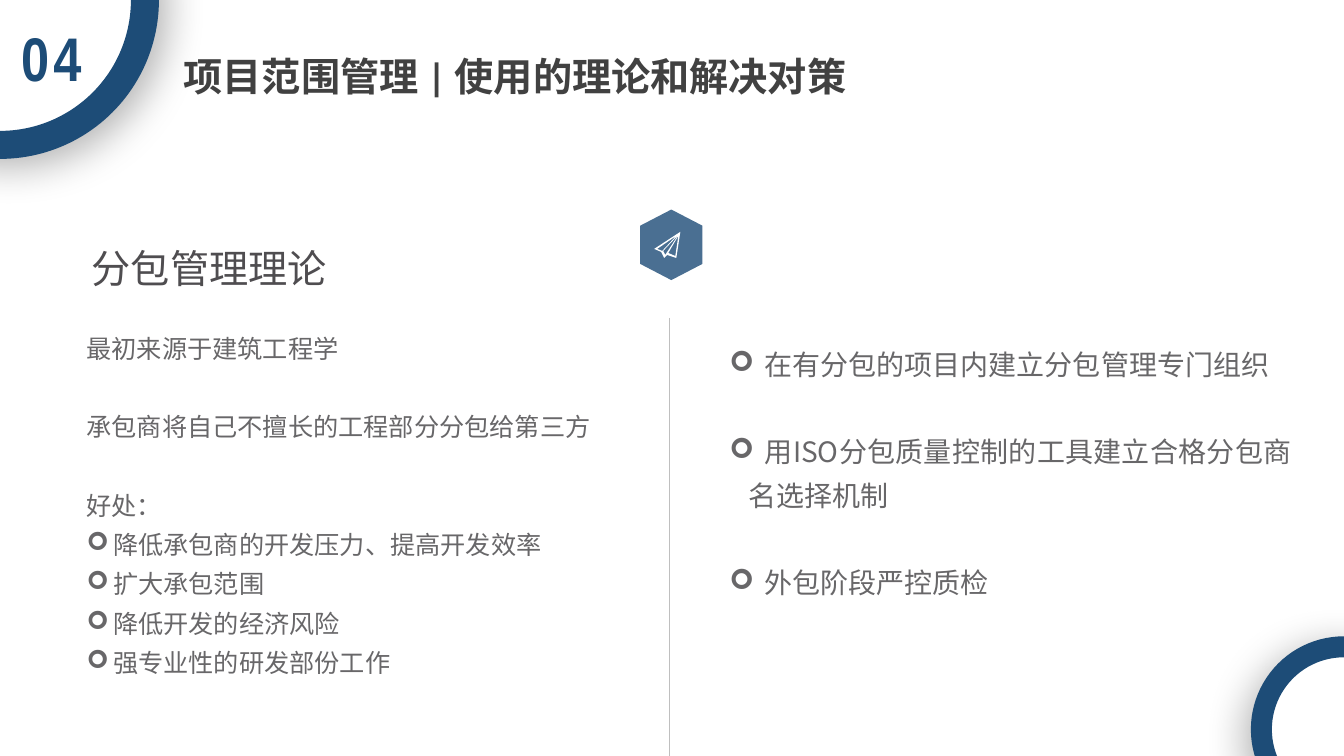
from lxml.etree import SubElement
from pptx import Presentation
from pptx.dml.color import RGBColor
from pptx.enum.shapes import MSO_CONNECTOR, MSO_SHAPE
from pptx.enum.text import MSO_ANCHOR, MSO_AUTO_SIZE, PP_ALIGN
from pptx.oxml import parse_xml
from pptx.oxml.ns import nsdecls, qn
from pptx.util import Pt

HUES = {"navy": "1D4C77", "white": "FFFFFF", "rule": "BFBFBF",
        "title": "414141", "head": "4F4D50", "body": "686769"}
SANS = "Noto Sans CJK SC"
PLANE = [
    [(675, 230), (649, 247), (656, 250), (659, 256), (662, 253), (671, 256)],
    [(670, 254), (663, 251), (673, 234)],
    [(658, 249), (673, 233), (660, 253)],
    [(652, 247), (671, 234), (657, 249)],
]
ORIGIN = ["最初来源于建筑工程学", "承包商将自己不擅长的工程部分分包给第三方", "好处："]
GAINS = ["降低承包商的开发压力、提高开发效率", "扩大承包范围",
         "降低开发的经济风险", "强专业性的研发部份工作"]
STEPS = ["在有分包的项目内建立分包管理专门组织",
         "用ISO分包质量控制的工具建立合格分包商名选择机制", "外包阶段严控质检"]


def hue(name):
    """Return the named colour."""
    return RGBColor.from_string(HUES[name])


def paint(shape, fill):
    """Give a shape a plain fill with no line and no shadow."""
    shape.shadow.inherit = False
    shape.fill.solid()
    shape.fill.fore_color.rgb = hue(fill)
    shape.line.fill.background()


def style(para, size, color, face=SANS, bold=False, track=0):
    """Format every run of a paragraph."""
    for run in para.runs:
        font = run.font
        font.size, font.name, font.bold = Pt(size), face, bold
        font.color.rgb = hue(color)
        props = run._r.get_or_add_rPr()
        SubElement(props, qn("a:ea")).set("typeface", face)
        if track:
            props.set("spc", str(track * 100))


def frame(shape, box):
    """Place a text shape and return its wrapping, top-anchored frame."""
    shape.left, shape.top, shape.width, shape.height = map(Pt, box)
    text = shape.text_frame
    text.word_wrap = True
    text.auto_size = MSO_AUTO_SIZE.SHAPE_TO_FIT_TEXT
    text.vertical_anchor = MSO_ANCHOR.TOP
    return text


def label(shape, box, text, size, color, align=PP_ALIGN.LEFT, lead=1.0, **look):
    """Fill a text shape with one line of text."""
    para = frame(shape, box).paragraphs[0]
    para.text, para.alignment, para.line_spacing = text, align, lead
    style(para, size, color, **look)


def bullet(para, hang, tab=0):
    """Add an arrow bullet with a hanging indent and an optional tab stop."""
    props = para._p.get_or_add_pPr()
    props.set("marL", str(Pt(hang)))
    props.set("indent", str(Pt(-hang)))
    SubElement(props, qn("a:buFont")).set("typeface", "Wingdings")
    SubElement(props, qn("a:buChar")).set("char", "➢")
    if tab:
        stop = SubElement(SubElement(props, qn("a:tabLst")), qn("a:tab"))
        stop.set("pos", str(Pt(tab)))
        stop.set("algn", "l")


def column(slide, box, items, size):
    """Add a justified column of (text, gap, hang, tab) items."""
    text = frame(slide.shapes.add_textbox(0, 0, 0, 0), box)
    for i, (words, gap, hang, tab) in enumerate(items):
        para = text.add_paragraph() if i else text.paragraphs[0]
        para.text = "\t" + words if tab else words
        para.alignment, para.line_spacing = PP_ALIGN.JUSTIFY, 1.3
        if i and gap:
            para.space_before = Pt(gap)
        if hang:
            bullet(para, hang, tab)
        style(para, size, "body")


def ring(slide, x, y, size, width, turn):
    """Add a white disc with a navy rim and a soft shadow."""
    disc = slide.shapes.add_shape(MSO_SHAPE.OVAL, *map(Pt, (x, y, size, size)))
    paint(disc, "white")
    disc.line.color.rgb = hue("navy")
    disc.line.width = Pt(width)
    glow = disc._element.spPr.find(qn("a:effectLst"))
    glow.append(parse_xml(
        f'<a:outerShdw {nsdecls("a")} blurRad="{Pt(30)}" dist="{Pt(8)}" '
        f'dir="{turn * 60000}" algn="ctr" rotWithShape="0"><a:srgbClr val="000000">'
        '<a:alpha val="30000"/></a:srgbClr></a:outerShdw>'))


def divide(slide, x, top, end):
    """Add the thin upright rule between the columns."""
    rule = slide.shapes.add_connector(
        MSO_CONNECTOR.STRAIGHT, Pt(x), Pt(top), Pt(x), Pt(end))
    rule.line.color.rgb, rule.line.width = hue("rule"), Pt(0.5)
    SubElement(rule._element.spPr, qn("a:effectLst"))


def badge(slide):
    """Add the hexagon badge with its paper plane."""
    group = slide.shapes.add_group_shape().shapes
    hexa = group.add_shape(MSO_SHAPE.HEXAGON, *map(Pt, (454.3, 152.6, 50.4, 44.6)))
    hexa.rotation = 90
    hexa.adjustments[0] = 0.26
    paint(hexa, "navy")
    tone = hexa._element.spPr.find(qn("a:solidFill"))[0]
    SubElement(tone, qn("a:alpha")).set("val", "80000")
    pen = group.build_freeform(*PLANE[0][0], scale=Pt(0.72))
    for i, outline in enumerate(PLANE):
        if i:
            pen.move_to(*outline[0])
        pen.add_line_segments(outline[1:], close=True)
    paint(pen.convert_to_shape(), "white")


def main():
    """Build the slide and save it."""
    deck = Presentation()
    deck.slide_width, deck.slide_height = Pt(960), Pt(540)
    slide = deck.slides.add_slide(deck.slide_layouts[5])
    shapes = slide.shapes
    divide(slide, 478, 227, 560)
    badge(slide)
    ring(slide, -103.5, -103.5, 207, 20, 45)
    ring(slide, 901, 462, 118, 15, 125)
    label(shapes.add_textbox(0, 0, 0, 0), (0, 11, 73.5, 60.5), "04", 44, "navy",
          PP_ALIGN.CENTER, face="Arial Narrow", bold=True, track=3)
    label(shapes.title, (124, 34, 493, 41), "项目范围管理 | 使用的理论和解决对策",
          28, "title", face="Calibri", bold=True)
    label(shapes.add_textbox(0, 0, 0, 0), (58.5, 161, 246, 47), "分包管理理论",
          28, "head", lead=1.3)
    left = [(t, 28, 0, 0) for t in ORIGIN] + [(t, 0, 19, 0) for t in GAINS]
    column(slide, (54.7, 228, 414, 260), left, 18)
    column(slide, (514, 237.6, 415.5, 193), [(t, 31, 13.5, 25) for t in STEPS], 20)
    deck.save("out.pptx")


if __name__ == "__main__":
    main()
